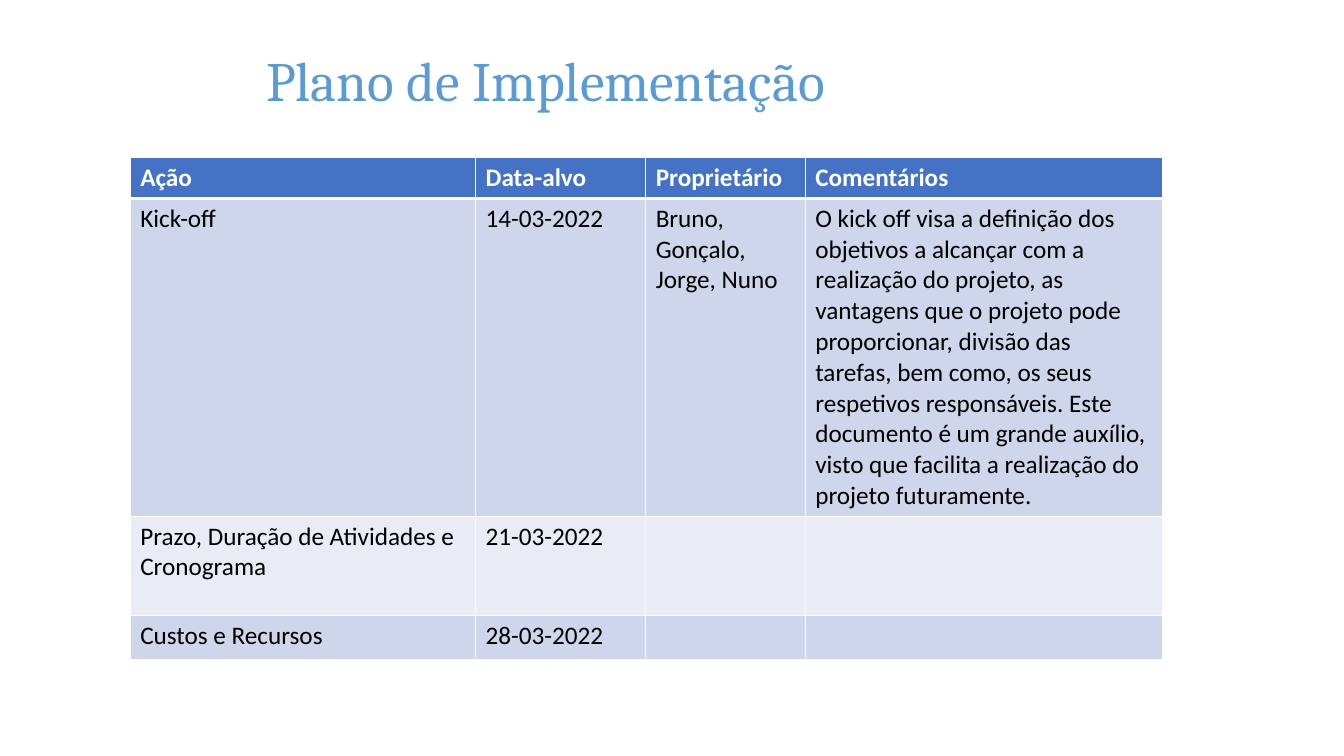
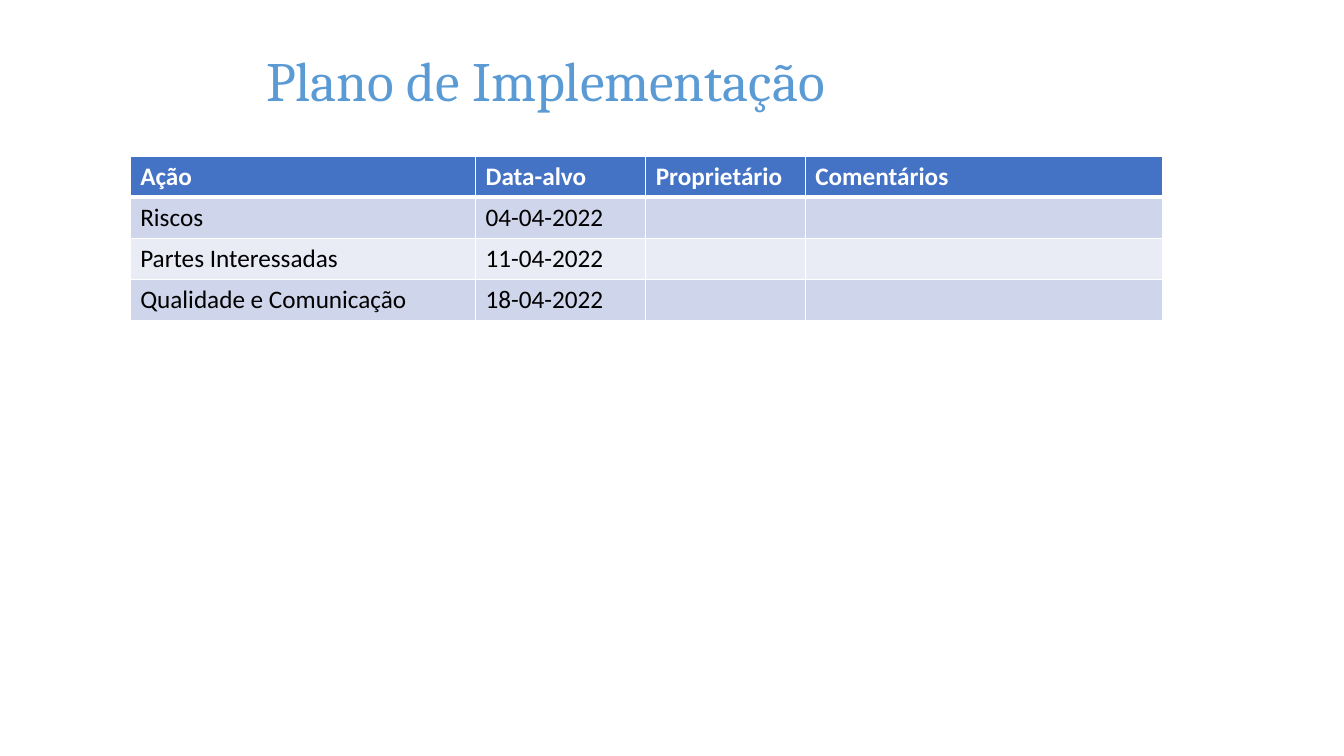
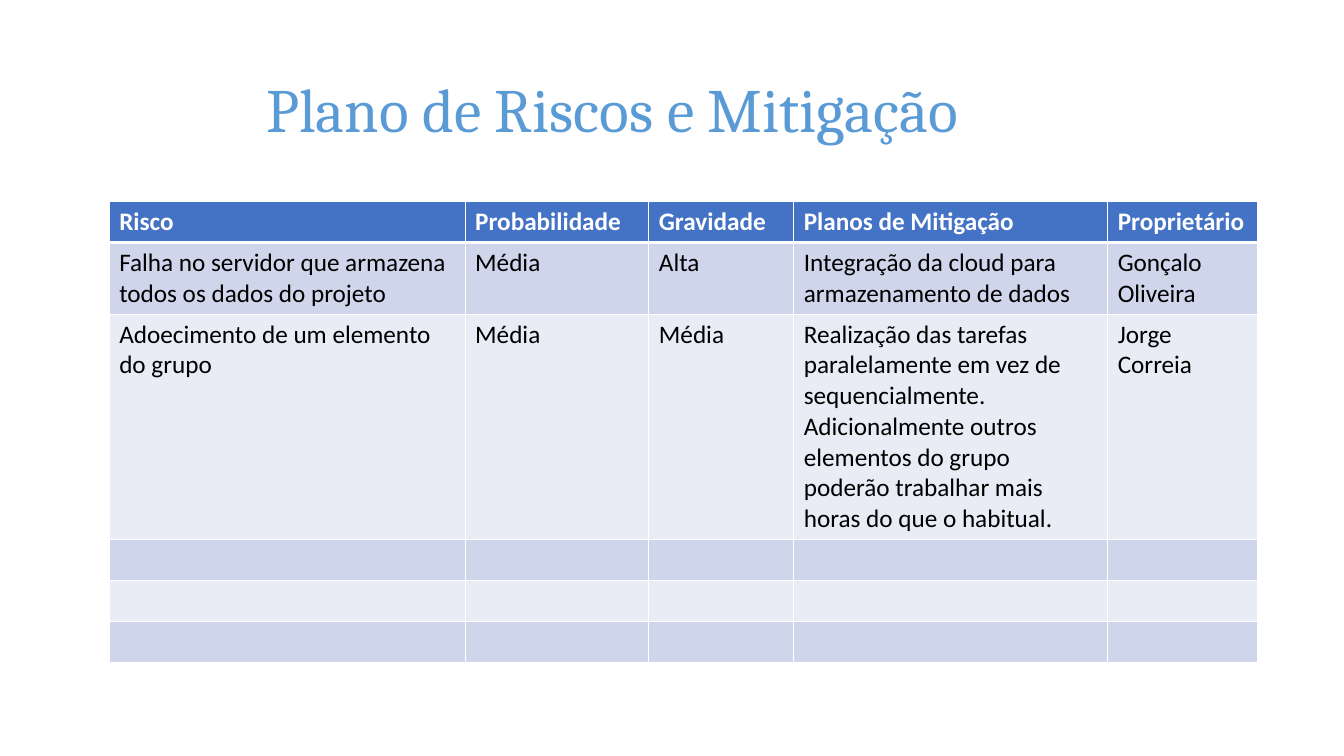
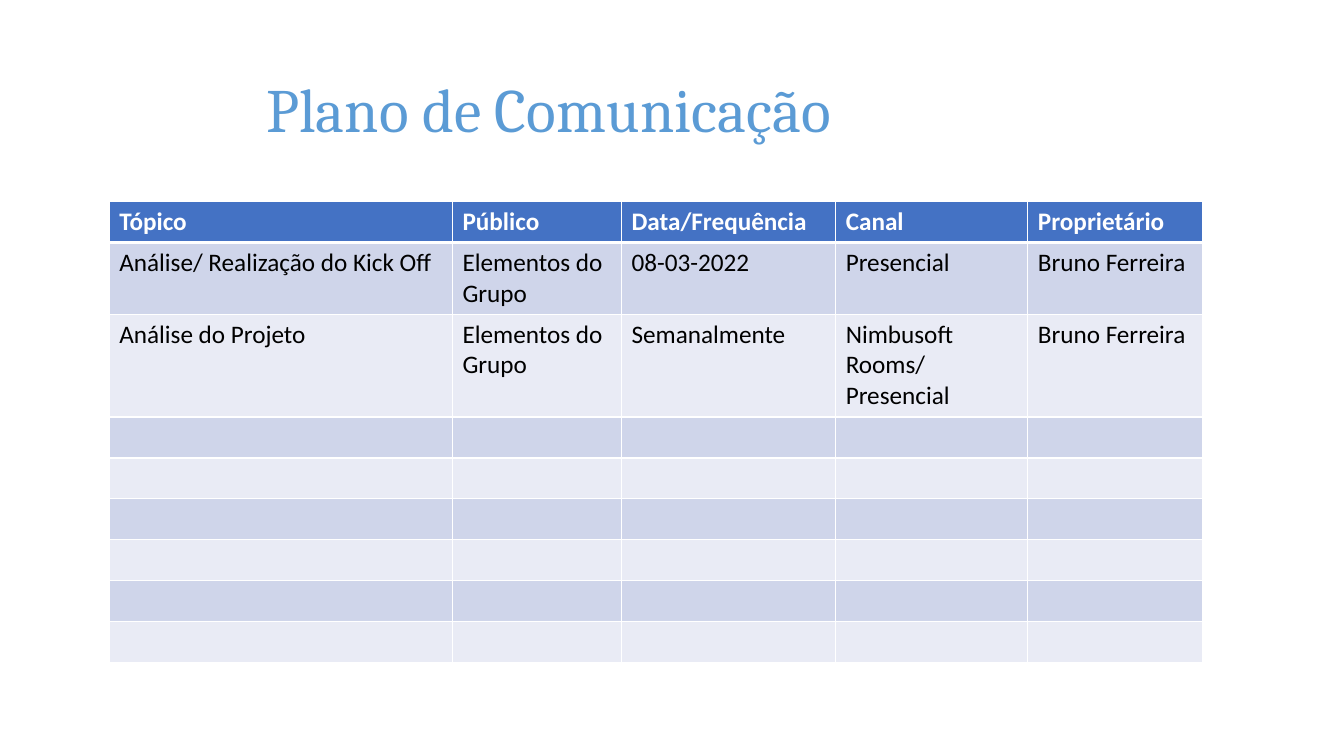
from lxml.etree import SubElement
from pptx import Presentation
from pptx.dml.color import RGBColor
from pptx.enum.text import MSO_ANCHOR, MSO_AUTO_SIZE, PP_ALIGN
from pptx.oxml.ns import qn
from pptx.util import Pt

# Scale: 96 px to the inch
PX = 9525
TITLE_ONLY = 5

# Colours
WHITE = RGBColor(0xFF, 0xFF, 0xFF)
BLACK = RGBColor(0x00, 0x00, 0x00)
SKY = RGBColor(0x5B, 0x9B, 0xD5)
HEADER_BLUE = RGBColor(0x44, 0x72, 0xC4)
BANDS = (RGBColor(0xE9, 0xEB, 0xF5), RGBColor(0xCF, 0xD5, 0xEA))

# Text formats
TITLE_FONT = {"name": "Cambria", "bold": False}
HEADER_FONT = {"name": "Calibri", "size": Pt(18), "bold": True}
BODY_FONT = {**HEADER_FONT, "bold": False}

# Columns and rows shared by the two implementation slides
ACTION_HEADER = ("Ação", "Data-alvo", "Proprietário", "Comentários")
ACTION_COLUMNS = (329, 162, 152, 340)
LINE_ROW = 39


class Deck:
    """Holds the shared style and the current slide."""

    def __init__(self):
        self.presentation = Presentation()
        self.presentation.slide_width = 1280 * PX
        self.presentation.slide_height = 720 * PX
        self.slide = None

    def new_slide(self, heading, size=44, lift=0):
        """Start a slide; lift is the extra space kept below its heading."""
        layout = self.presentation.slide_layouts[TITLE_ONLY]
        self.slide = self.presentation.slides.add_slide(layout)
        title = self.slide.shapes.title
        place = {"left": 244, "top": 38, "width": 948, "height": 139}
        for side, length in place.items():
            setattr(title, side, length * PX)
        frame = title.text_frame
        frame.text = heading
        frame_format = {
            "word_wrap": True,
            "auto_size": MSO_AUTO_SIZE.NONE,
            "vertical_anchor": MSO_ANCHOR.MIDDLE,
            "margin_bottom": (5 + lift) * PX,
        }
        for name, value in frame_format.items():
            setattr(frame, name, value)
        line = frame.paragraphs[0]
        line.alignment = PP_ALIGN.LEFT
        line.line_spacing = 0.9
        self.format_font(line.runs[0].font, {**TITLE_FONT, "size": Pt(size)}, SKY)

    def table(self, left, top, columns, heights, rows):
        """Add a banded table; rows without text stay empty."""
        table = self.slide.shapes.add_table(
            len(heights), len(columns), left * PX, top * PX,
            sum(columns) * PX, sum(heights) * PX).table
        table.horz_banding = False
        for column, width in zip(table.columns, columns):
            column.width = width * PX
        for index, (row, height) in enumerate(zip(table.rows, heights)):
            row.height = height * PX
            texts = rows[index] if index < len(rows) else ()
            for position, cell in enumerate(row.cells):
                text = texts[position] if position < len(texts) else ""
                self.cell(cell, text, index)

    def cell(self, cell, text, row):
        header = row == 0
        self.borders(cell, top=3 if row == 1 else 1, bottom=3 if header else 1)
        cell.fill.solid()
        cell.fill.fore_color.rgb = HEADER_BLUE if header else BANDS[row % 2]
        if text:
            cell.text = text
            self.format_font(cell.text_frame.paragraphs[0].runs[0].font,
                             HEADER_FONT if header else BODY_FONT,
                             WHITE if header else BLACK)

    @staticmethod
    def borders(cell, top, bottom):
        properties = cell._tc.get_or_add_tcPr()
        for side, width in {"L": 1, "R": 1, "T": top, "B": bottom}.items():
            edge = SubElement(properties, qn(f"a:ln{side}"), w=str(Pt(width)))
            fill = SubElement(edge, qn("a:solidFill"))
            SubElement(fill, qn("a:srgbClr"), val=str(WHITE))

    @staticmethod
    def format_font(font, values, color):
        for name, value in values.items():
            setattr(font, name, value)
        font.color.rgb = color


def main():
    deck = Deck()

    # Implementation plan, first part
    deck.new_slide("Plano de Implementação", size=39.6, lift=56)
    deck.table(124, 150, ACTION_COLUMNS, (LINE_ROW, 302, 95, 42), (
        ACTION_HEADER,
        ("Kick-off", "14-03-2022", "Bruno, Gonçalo, Jorge, Nuno",
         "O kick off visa a definição dos objetivos a alcançar com a "
         "realização do projeto, as vantagens que o projeto pode "
         "proporcionar, divisão das tarefas, bem como, os seus respetivos "
         "responsáveis. Este documento é um grande auxílio, visto que "
         "facilita a realização do projeto futuramente."),
        ("Prazo, Duração de Atividades e Cronograma", "21-03-2022"),
        ("Custos e Recursos", "28-03-2022"),
    ))

    # Implementation plan, second part
    deck.new_slide("Plano de Implementação", size=39.6, lift=56)
    deck.table(124, 149, ACTION_COLUMNS, [LINE_ROW] * 4, (
        ACTION_HEADER,
        ("Riscos", "04-04-2022"),
        ("Partes Interessadas", "11-04-2022"),
        ("Qualidade e Comunicação", "18-04-2022"),
    ))

    # Risks and mitigation
    deck.new_slide("Plano de Riscos e Mitigação")
    deck.table(104, 192, (339, 175, 138, 299, 143),
               [LINE_ROW, 68, 215] + [LINE_ROW] * 3, (
        ("Risco", "Probabilidade", "Gravidade", "Planos de Mitigação",
         "Proprietário"),
        ("Falha no servidor que armazena todos os dados do projeto",
         "Média", "Alta", "Integração da cloud para armazenamento de dados",
         "Gonçalo Oliveira"),
        ("Adoecimento de um elemento do grupo", "Média", "Média",
         "Realização das tarefas paralelamente em vez de sequencialmente. "
         "Adicionalmente outros elementos do grupo poderão trabalhar mais "
         "horas do que o habitual.", "Jorge Correia"),
    ))

    # Communication
    deck.new_slide("Plano de Comunicação")
    deck.table(104, 192, (327, 161, 204, 183, 166),
               [LINE_ROW, 68, 98] + [LINE_ROW] * 6, (
        ("Tópico", "Público", "Data/Frequência", "Canal", "Proprietário"),
        ("Análise/ Realização do Kick Off", "Elementos do Grupo",
         "08-03-2022", "Presencial", "Bruno Ferreira"),
        ("Análise do Projeto", "Elementos do Grupo", "Semanalmente",
         "Nimbusoft Rooms/ Presencial", "Bruno Ferreira"),
    ))

    deck.presentation.save("out.pptx")


if __name__ == "__main__":
    main()
